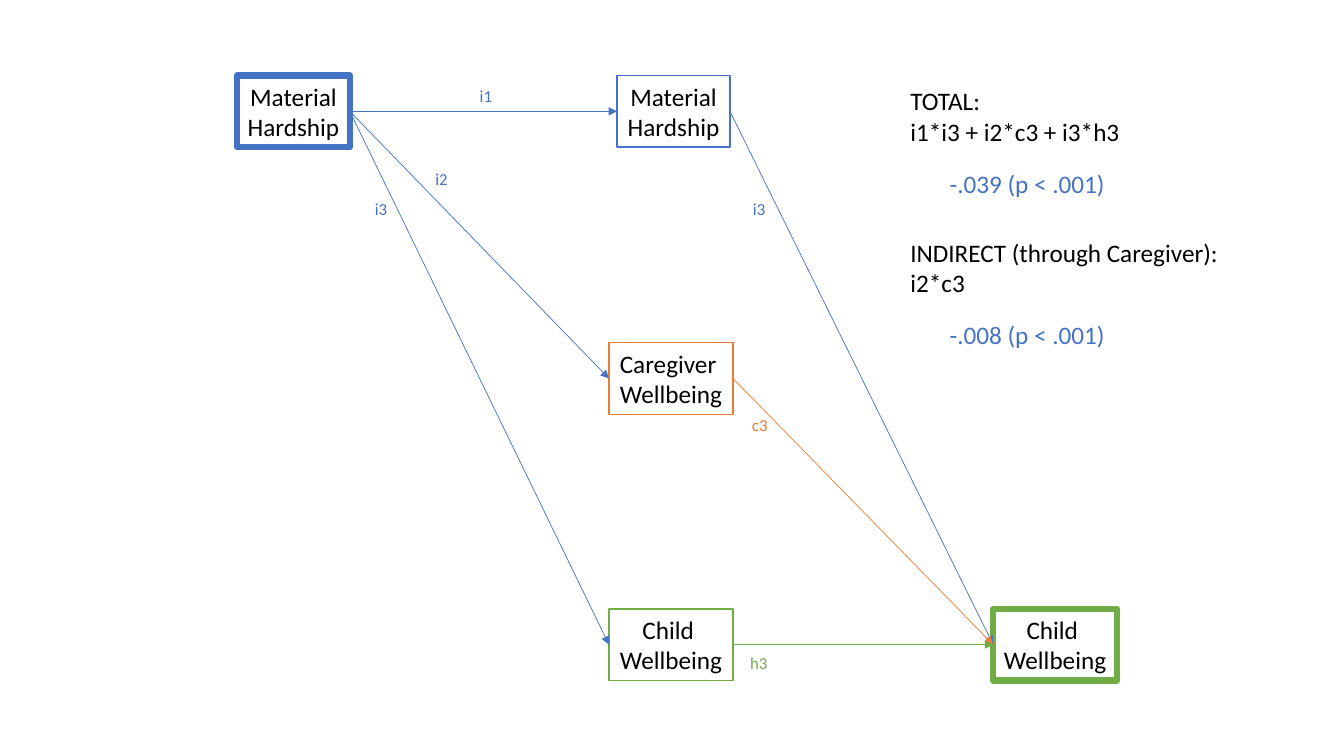
from pptx import Presentation
from pptx.dml.color import RGBColor
from pptx.enum.shapes import MSO_CONNECTOR, MSO_SHAPE
from pptx.enum.text import MSO_AUTO_SIZE, PP_ALIGN
from pptx.util import Inches, Pt
from lxml.etree import SubElement
from pptx.oxml.ns import qn

BLUE = RGBColor(0x44, 0x72, 0xC4)
ORANGE = RGBColor(0xED, 0x7D, 0x31)
GREEN = RGBColor(0x70, 0xAD, 0x47)
BLACK = RGBColor(0, 0, 0)
WHITE = RGBColor(255, 255, 255)

HARDSHIP = ["Material", "Hardship"]
CAREGIVER = ["Caregiver ", "Wellbeing"]
CHILD = ["Child ", "Wellbeing"]
HARDSHIP_WIDTH, WELLBEING_WIDTH, BOX_HEIGHT = 1.12, 1.23, 0.71
TOP_ROW, MIDDLE_ROW, BOTTOM_ROW = 0.75, 3.4, 6.04
LEFT_SITE, RIGHT_SITE = 1, 3
THICK, THIN = 4.5, 1


def write_lines(frame, lines, size, color, align=PP_ALIGN.LEFT):
    """Write one paragraph per line into a non-wrapping frame."""
    frame.word_wrap = False
    frame.auto_size = MSO_AUTO_SIZE.SHAPE_TO_FIT_TEXT
    font_format = {"name": "Calibri", "size": Pt(size)}
    for index, line in enumerate(lines):
        paragraph = frame.add_paragraph() if index else frame.paragraphs[0]
        paragraph.alignment = align
        run = paragraph.add_run()
        run.text = line
        for key, value in font_format.items():
            setattr(run.font, key, value)
        run.font.color.rgb = color


def add_variable(slide, lines, left, top, width, color, weight):
    """Add an outlined box for one model variable."""
    box = slide.shapes.add_shape(MSO_SHAPE.RECTANGLE, Inches(left), Inches(top),
                                 Inches(width), Inches(BOX_HEIGHT))
    box.shadow.inherit = False
    box.fill.solid()
    box.fill.fore_color.rgb = WHITE
    box.line.color.rgb = color
    box.line.width = Pt(weight)
    write_lines(box.text_frame, lines, 18, BLACK, PP_ALIGN.CENTER)
    return box


def add_effect(slide, source, target, color):
    """Add an arrow from the right side of source to the left side of target."""
    arrow = slide.shapes.add_connector(MSO_CONNECTOR.STRAIGHT, 0, 0, 0, 0)
    arrow.begin_connect(source, RIGHT_SITE)
    arrow.end_connect(target, LEFT_SITE)
    arrow.line.color.rgb = color
    arrow.line.width = Pt(0.5)
    SubElement(arrow.line._get_or_add_ln(), qn("a:tailEnd"), type="triangle")
    SubElement(arrow._element.spPr, qn("a:effectLst"))


def add_text(slide, lines, left, top, width, height, size, color):
    """Add a text box and return its frame."""
    frame = slide.shapes.add_textbox(Inches(left), Inches(top), Inches(width),
                                     Inches(height)).text_frame
    write_lines(frame, lines, size, color)
    return frame


def main():
    """Build the path diagram slide."""
    deck = Presentation()
    deck.slide_width, deck.slide_height = Inches(13.33), Inches(7.5)
    slide = deck.slides.add_slide(deck.slide_layouts[6])

    variables = {
        "early hardship": (HARDSHIP, 2.35, TOP_ROW, HARDSHIP_WIDTH, BLUE, THICK),
        "hardship": (HARDSHIP, 6.12, TOP_ROW, HARDSHIP_WIDTH, BLUE, THIN),
        "caregiver": (CAREGIVER, 6.04, MIDDLE_ROW, WELLBEING_WIDTH, ORANGE, THIN),
        "child": (CHILD, 6.04, BOTTOM_ROW, WELLBEING_WIDTH, GREEN, THIN),
        "later child": (CHILD, 9.85, BOTTOM_ROW, WELLBEING_WIDTH, GREEN, THICK),
    }
    boxes = {key: add_variable(slide, *variable)
             for key, variable in variables.items()}

    for source, target, color in [
        ("early hardship", "hardship", BLUE),
        ("early hardship", "caregiver", BLUE),
        ("early hardship", "child", BLUE),
        ("hardship", "later child", BLUE),
        ("caregiver", "later child", ORANGE),
        ("child", "later child", GREEN),
    ]:
        add_effect(slide, boxes[source], boxes[target], color)

    for coefficient, left, top, width, color in [
        ("i1", 4.66, 0.8, 0.33, BLUE),
        ("i2", 4.22, 1.62, 0.33, BLUE),
        ("i3", 3.62, 1.92, 0.33, BLUE),
        ("i3", 7.37, 1.92, 0.33, BLUE),
        ("c3", 7.36, 4.07, 0.36, ORANGE),
        ("h3", 7.34, 6.43, 0.38, GREEN),
    ]:
        add_text(slide, [coefficient], left, top, width, 0.3, 12, color)

    formulas = add_text(slide, ["TOTAL:", "i1*i3 + i2*c3 + i3*h3",
                                "INDIRECT (through Caregiver):", "i2*c3"],
                        8.93, 0.8, 3.29, 2.22, 18, BLACK)
    formulas.paragraphs[2].space_before = Pt(65)
    for estimate, top in [("-.039 (p < .001)", 1.62), ("-.008 (p < .001)", 3.12)]:
        add_text(slide, [estimate], 9.32, top, 1.76, 0.4, 18, BLUE)

    deck.save("out.pptx")


main()
